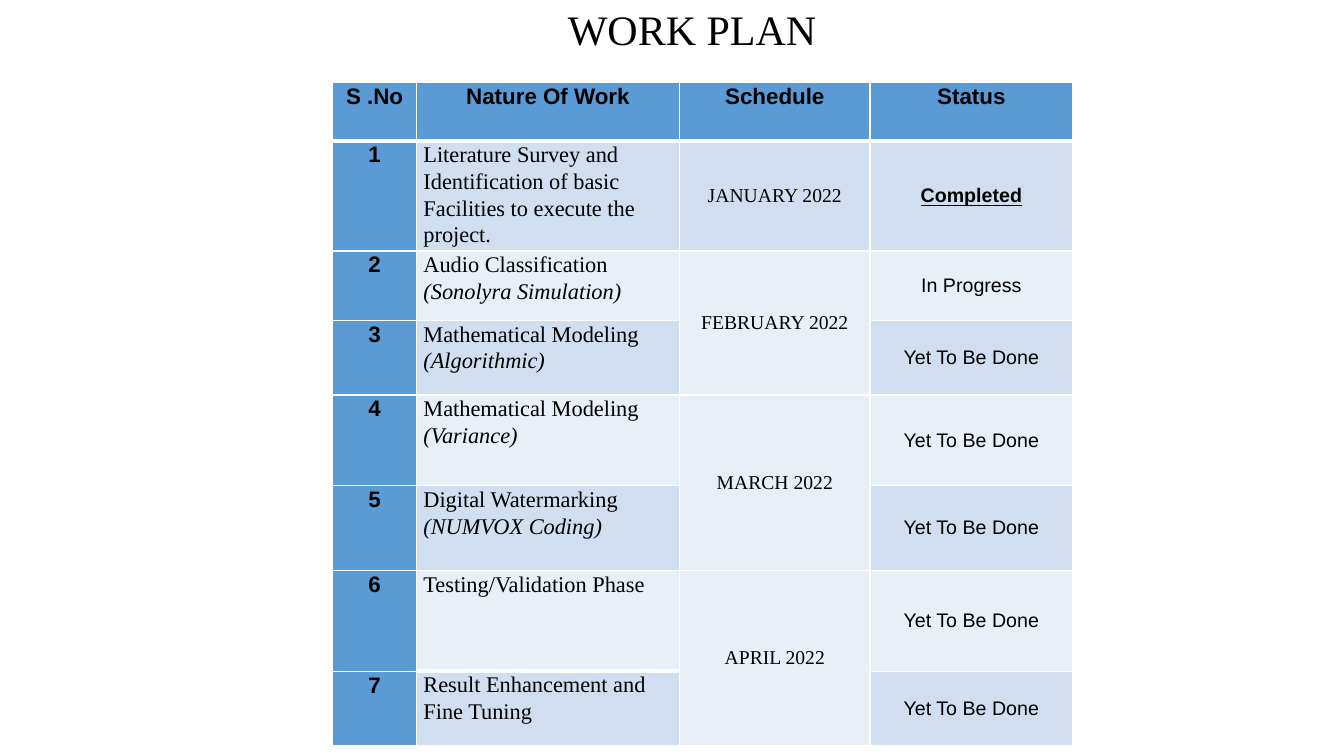
import dataclasses

import lxml.etree
import pptx
import pptx.dml.color
import pptx.enum.text
import pptx.oxml.ns
import pptx.util

Inches, Pt = pptx.util.Inches, pptx.util.Pt
ALIGN = pptx.enum.text.PP_ALIGN
ANCHOR = pptx.enum.text.MSO_ANCHOR

COLORS = {"head": "5B9BD5", "odd": "D0DEEF", "even": "E9EFF7", "border": "FFFFFF", "text": "000000"}
SANS, SERIF = "Arial", "Times New Roman"
SLIDE_W, SLIDE_H = 13.33, 7.5
LEFT, TOP = 3.3, 0.82
COLUMNS = [0.83, 2.61, 1.89, 2.01]
ROWS = [0.58, 1.09, 0.69, 0.74, 0.9, 0.84, 1, 0.74]
HEADERS = ["S .No", "Nature Of Work", "Schedule", "Status"]
HEAVY_BELOW = {(0, 0), (0, 1), (0, 2), (0, 3), (6, 1)}

HEAD_FONT = {"name": SANS, "size": Pt(16), "bold": True}
WORK_FONT = {"name": SERIF, "size": Pt(16), "bold": False}
MONTH_FONT = {"name": SERIF, "size": Pt(14), "bold": False}
STATUS_FONT = {"name": SANS, "size": Pt(14), "bold": False}
DONE_FONT = STATUS_FONT | {"bold": True, "underline": True}
TITLE_FONT = {"name": SERIF, "size": Pt(30), "bold": False}

HEAD_PARAGRAPH = {"alignment": ALIGN.CENTER, "line_spacing": 1.07}
WORK_PARAGRAPH = {"alignment": ALIGN.LEFT, "line_spacing": 1.07}
CENTERED = {"alignment": ALIGN.CENTER, "line_spacing": 1.0}


@dataclasses.dataclass
class Task:
    work: str
    detail: str = ""
    month: str = ""
    months_rows: int = 1
    status: str = "Yet To Be Done"


TASKS = [
    Task("Literature Survey and Identification of basic Facilities to execute the project.",
         month="JANUARY 2022", status="Completed"),
    Task("Audio Classification", "(Sonolyra Simulation)", "FEBRUARY 2022", 2, "In Progress"),
    Task("Mathematical Modeling", "(Algorithmic)"),
    Task("Mathematical Modeling", "(Variance)", "MARCH 2022", 2),
    Task("Digital Watermarking", "(NUMVOX Coding)"),
    Task("Testing/Validation Phase", month="APRIL 2022", months_rows=2),
    Task("Result Enhancement and Fine Tuning"),
]


def set_attributes(target, values: dict) -> None:
    for name, value in values.items():
        setattr(target, name, value)


def write(p, text: str, paragraph: dict, font: dict) -> None:
    set_attributes(p, paragraph)
    r = p.add_run()
    r.text = text
    set_attributes(r.font, font)
    r.font.color.rgb = pptx.dml.color.RGBColor.from_string(COLORS["text"])


def add_border(cell, side: str, width: float) -> None:
    qn = pptx.oxml.ns.qn
    line = lxml.etree.SubElement(cell._tc.get_or_add_tcPr(), qn(f"a:ln{side}"), w=str(Pt(width)))
    fill = lxml.etree.SubElement(line, qn("a:solidFill"))
    lxml.etree.SubElement(fill, qn("a:srgbClr"), val=COLORS["border"])


def format_cell(cell, row: int, column: int) -> None:
    set_attributes(cell, {"margin_left": Inches(0.07), "margin_right": Inches(0.07),
                          "margin_top": 0, "margin_bottom": 0})
    cell.vertical_anchor = ANCHOR.MIDDLE if row and column > 1 else ANCHOR.TOP
    heavy = {"T": (row - 1, column) in HEAVY_BELOW, "B": (row, column) in HEAVY_BELOW}
    for side in "LRTB":
        add_border(cell, side, 3 if heavy.get(side) else 1)
    band = "head" if row == 0 or column == 0 else "odd" if row % 2 else "even"
    cell.fill.solid()
    cell.fill.fore_color.rgb = pptx.dml.color.RGBColor.from_string(COLORS[band])


def add_title(slide) -> None:
    title = slide.shapes.title
    set_attributes(title, {"left": Inches(3.35), "top": Inches(0), "width": Inches(7.03),
                           "height": Inches(0.56)})
    tf = title.text_frame
    set_attributes(tf, {"margin_top": 0, "margin_bottom": 0, "word_wrap": True,
                        "vertical_anchor": ANCHOR.MIDDLE})
    write(tf.paragraphs[0], "WORK PLAN", CENTERED, TITLE_FONT)


def fill_task(table, row: int, task: Task) -> None:
    number, work, month, status = (table.cell(row, c).text_frame for c in range(len(COLUMNS)))
    write(number.paragraphs[0], str(row), HEAD_PARAGRAPH, HEAD_FONT)
    write(work.paragraphs[0], task.work, WORK_PARAGRAPH, WORK_FONT)
    if task.detail:
        write(work.add_paragraph(), task.detail, WORK_PARAGRAPH, WORK_FONT | {"italic": True})
    if task.month:
        write(month.paragraphs[0], task.month, CENTERED, MONTH_FONT)
    if task.months_rows > 1:
        table.cell(row, 2).merge(table.cell(row + task.months_rows - 1, 2))
    font = DONE_FONT if task.status == "Completed" else STATUS_FONT
    write(status.paragraphs[0], task.status, CENTERED, font)


def add_plan(slide) -> None:
    frame = slide.shapes.add_table(len(ROWS), len(COLUMNS), Inches(LEFT), Inches(TOP),
                                   Inches(sum(COLUMNS)), Inches(sum(ROWS)))
    table = frame.table
    set_attributes(table, {"first_row": False, "horz_banding": False})
    for column, width in zip(table.columns, COLUMNS):
        column.width = Inches(width)
    for row, height in zip(table.rows, ROWS):
        row.height = Inches(height)
    for row in range(len(ROWS)):
        for column in range(len(COLUMNS)):
            format_cell(table.cell(row, column), row, column)
    for column, header in enumerate(HEADERS):
        write(table.cell(0, column).text_frame.paragraphs[0], header, HEAD_PARAGRAPH, HEAD_FONT)
    for row, task in enumerate(TASKS, start=1):
        fill_task(table, row, task)


def main() -> None:
    prs = pptx.Presentation()
    prs.slide_width, prs.slide_height = Inches(SLIDE_W), Inches(SLIDE_H)
    slide = prs.slides.add_slide(prs.slide_layouts.get_by_name("Title Only"))
    add_title(slide)
    add_plan(slide)
    prs.save("out.pptx")


if __name__ == "__main__":
    main()
